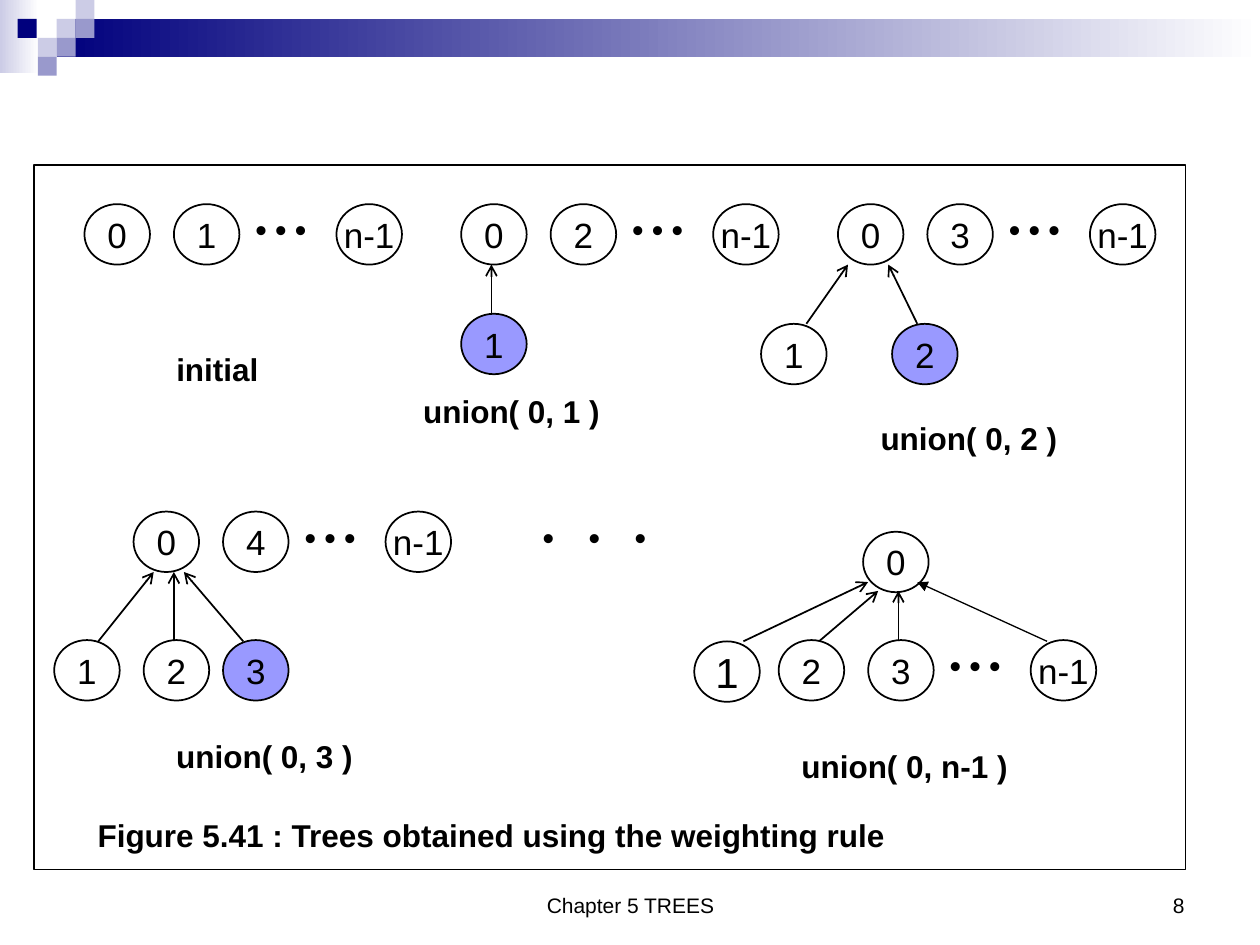
from dataclasses import dataclass

from lxml.etree import SubElement
from pptx import Presentation
from pptx.dml.color import RGBColor
from pptx.enum.shapes import MSO_CONNECTOR as Connector, MSO_SHAPE as Shape
from pptx.enum.text import MSO_ANCHOR as Anchor, PP_ALIGN as Align
from pptx.oxml.ns import qn
from pptx.util import Inches, Pt


@dataclass(frozen=True)
class Theme:
    font: str = "Arial"
    black: str = "000000"
    white: str = "FFFFFF"
    navy: str = "00007D"
    lavender: str = "CCCCE6"
    violet: str = "9999CC"
    highlight: str = "9999FF"
    node_size: float = 20
    large_node_size: float = 24
    label_size: float = 18
    footer_size: float = 12
    node_line: float = 1
    thin_line: float = 0.75


@dataclass(frozen=True)
class Tile:
    left: float
    top: float
    color: str


@dataclass(frozen=True)
class Node:
    text: str
    left: float
    top: float
    fill: str
    size: float


@dataclass(frozen=True)
class Row:
    left: float
    top: float
    first: str
    second: str


@dataclass(frozen=True)
class Arrow:
    start: tuple[float, float]
    end: tuple[float, float]
    head: str = "arrow"
    width: float = 1


@dataclass(frozen=True)
class Label:
    text: str
    left: float
    top: float
    width: float
    height: float = 0.4
    size: float = 18
    bold: bool = True
    wrap: bool = False
    align: Align = Align.CENTER
    anchor: Anchor = Anchor.TOP
    spacing: float = 0


THEME = Theme()
NODE_WIDTH, NODE_HEIGHT = 0.52, 0.48
SECOND_OFFSET, DOTS_OFFSET, LAST_OFFSET = 0.71, 1.26, 2.0
TILE = 0.15
DOTS = "• • •"

TILES = [
    Tile(0.45, 0.15, THEME.lavender),
    Tile(0.6, 0, THEME.lavender),
    Tile(0.6, 0.15, THEME.violet),
    Tile(0.3, 0.3, THEME.lavender),
    Tile(0.14, 0.15, THEME.navy),
    Tile(0.45, 0.3, THEME.violet),
    Tile(0.3, 0.45, THEME.violet),
]
ROWS = [
    Row(0.67, 1.62, "0", "1"),
    Row(3.66, 1.62, "0", "2"),
    Row(6.65, 1.62, "0", "3"),
    Row(1.06, 4.06, "0", "4"),
    Row(6.18, 5.08, "2", "3"),
]
NODES = [
    Node("1", 3.66, 2.49, THEME.highlight, THEME.node_size),
    Node("1", 6.04, 2.57, THEME.white, THEME.node_size),
    Node("2", 7.08, 2.57, THEME.highlight, THEME.node_size),
    Node("1", 0.43, 5.08, THEME.white, THEME.node_size),
    Node("2", 1.14, 5.08, THEME.white, THEME.node_size),
    Node("3", 1.77, 5.08, THEME.highlight, THEME.node_size),
    Node("0", 6.85, 4.22, THEME.white, THEME.node_size),
    Node("1", 5.51, 5.09, THEME.white, THEME.large_node_size),
]
ARROWS = [
    Arrow((3.9, 2.49), (3.9, 2.1)),
    Arrow((6.4, 2.57), (6.73, 2.1)),
    Arrow((7.28, 2.57), (7.05, 2.1)),
    Arrow((0.78, 5.09), (1.22, 4.54)),
    Arrow((1.38, 5.09), (1.38, 4.54)),
    Arrow((1.93, 5.09), (1.46, 4.54)),
    Arrow((5.9, 5.09), (6.89, 4.62)),
    Arrow((6.5, 5.09), (6.97, 4.69)),
    Arrow((7.13, 5.09), (7.13, 4.69)),
    Arrow((8.31, 5.09), (7.28, 4.62), "triangle", THEME.thin_line),
]
LABELS = [
    Label("initial", 1.3, 2.73, 0.85),
    Label("union( 0, 1 )", 3.26, 3.06, 1.6),
    Label("union( 0, 2 )", 6.89, 3.28, 1.6),
    Label("union( 0, 3 )", 1.3, 5.8, 1.6),
    Label("union( 0, n-1 )", 6.26, 5.88, 1.84),
    Label(DOTS, 4.21, 4.06, 1.12, align=Align.LEFT, spacing=7.5),
    Label("Figure 5.41 : Trees obtained using the weighting rule", 0.67, 6.43, 6.46),
    Label("Chapter 5 TREES", 3.42, 6.83, 3.17, 0.5, THEME.footer_size, False, True,
          anchor=Anchor.BOTTOM),
    Label("8", 7.17, 6.83, 2.33, 0.5, THEME.footer_size, False, True,
          Align.RIGHT, Anchor.BOTTOM),
]


def color(value: str) -> RGBColor:
    return RGBColor.from_string(value)


def add_box(slide, kind: Shape, left: float, top: float, width: float, height: float,
            fill: str, line_width: float = 0):
    shape = slide.shapes.add_shape(
        kind, Inches(left), Inches(top), Inches(width), Inches(height))
    shape.shadow.inherit = False
    shape.fill.solid()
    shape.fill.fore_color.rgb = color(fill)
    if line_width:
        shape.line.color.rgb = color(THEME.black)
        shape.line.width = Pt(line_width)
    else:
        shape.line.fill.background()
    return shape


def add_fade(slide, left: float, top: float, width: float, height: float, start: str) -> None:
    shape = add_box(slide, Shape.RECTANGLE, left, top, width, height, start)
    shape.fill.gradient()
    shape.fill.gradient_angle = 0
    for stop, value in zip(shape.fill.gradient_stops, (start, THEME.white)):
        stop.color.rgb = color(value)


def write_text(shape, text: str, size: float, bold: bool, wrap: bool,
               align: Align, anchor: Anchor, spacing: float = 0) -> None:
    frame = shape.text_frame
    frame.word_wrap = wrap
    frame.vertical_anchor = anchor
    paragraph = frame.paragraphs[0]
    paragraph.alignment = align
    run = paragraph.add_run()
    run.text = text
    run.font.name = THEME.font
    run.font.size = Pt(size)
    run.font.bold = bold
    run.font.color.rgb = color(THEME.black)
    if spacing:
        run._r.get_or_add_rPr().set("spc", str(int(spacing * 100)))


def add_node(slide, node: Node) -> None:
    shape = add_box(slide, Shape.OVAL, node.left, node.top, NODE_WIDTH, NODE_HEIGHT,
                    node.fill, THEME.node_line)
    write_text(shape, node.text, node.size, False, False, Align.CENTER, Anchor.MIDDLE)


def add_label(slide, label: Label) -> None:
    shape = slide.shapes.add_textbox(
        Inches(label.left), Inches(label.top), Inches(label.width), Inches(label.height))
    write_text(shape, label.text, label.size, label.bold, label.wrap,
               label.align, label.anchor, label.spacing)


def add_row(slide, row: Row) -> None:
    for text, offset in ((row.first, 0), (row.second, SECOND_OFFSET), ("n-1", LAST_OFFSET)):
        add_node(slide, Node(text, row.left + offset, row.top, THEME.white, THEME.node_size))
    add_label(slide, Label(DOTS, row.left + DOTS_OFFSET, row.top, 0.6, size=THEME.label_size))


def add_arrow(slide, arrow: Arrow) -> None:
    points = [Inches(value) for value in (*arrow.start, *arrow.end)]
    connector = slide.shapes.add_connector(Connector.STRAIGHT, *points)
    connector.line.color.rgb = color(THEME.black)
    connector.line.width = Pt(arrow.width)
    SubElement(connector.line._get_or_add_ln(), qn("a:tailEnd"), type=arrow.head)
    SubElement(connector._element.spPr, qn("a:effectLst"))


def main() -> None:
    presentation = Presentation()
    presentation.slide_width = Inches(10)
    presentation.slide_height = Inches(7.5)
    slide = presentation.slides.add_slide(presentation.slide_layouts[6])
    add_fade(slide, 0, 0, 0.31, 0.58, THEME.lavender)
    add_fade(slide, 0.45, 0.15, 9.55, 0.3, THEME.navy)
    for tile in TILES:
        add_box(slide, Shape.RECTANGLE, tile.left, tile.top, TILE, TILE, tile.color)
    add_box(slide, Shape.RECTANGLE, 0.27, 1.31, 9.14, 5.59, THEME.white, THEME.thin_line)
    for items, draw in ((ROWS, add_row), (NODES, add_node),
                        (ARROWS, add_arrow), (LABELS, add_label)):
        for item in items:
            draw(slide, item)
    presentation.save("out.pptx")


if __name__ == "__main__":
    main()
